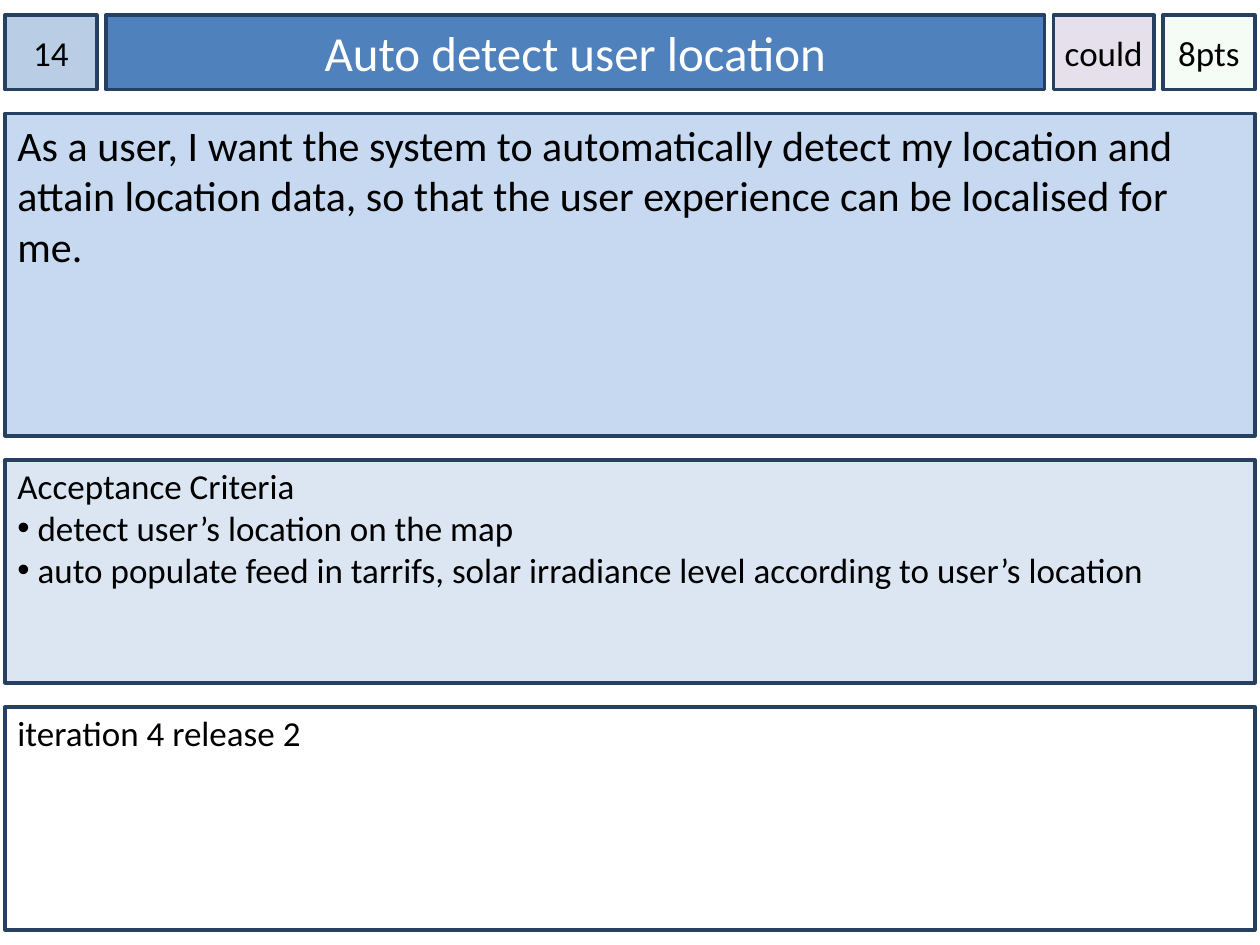
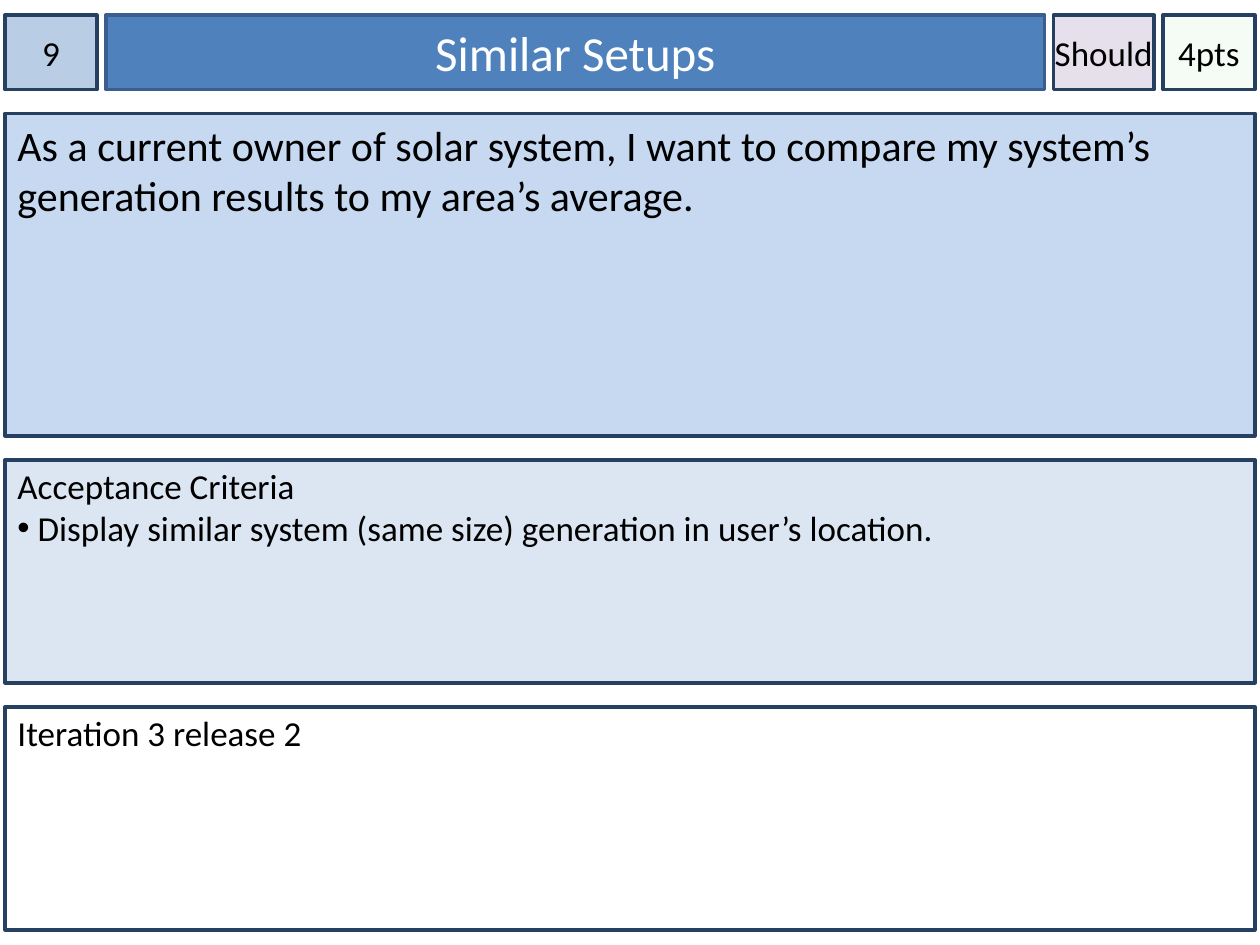
"""Build user story cards, one per slide."""
from dataclasses import dataclass

from lxml import etree
from pptx import Presentation
from pptx.dml.color import RGBColor
from pptx.enum import shapes, text
from pptx.oxml import ns
from pptx.util import Pt

COLOURS = {
    "number": "B9CDE5",
    "title": "4F81BD",
    "priority": "E6E0EC",
    "points": "CCF0CD",
    "story": "C6D9F1",
    "criteria": "DCE6F2",
    "plan": "FFFFFF",
    "border": "254061",
    "soft_border": "3A5F8C",
    "dark_text": "000000",
    "light_text": "FFFFFF",
}
FONT = "Calibri"
MARGIN = 2.88
HEADER_TOP, HEADER_HEIGHT, HEADER_GAP = 8.64, 42.48, 5.04
PANEL_WIDTH, PANEL_GAP = 714.24, 13.68
BULLET_INDENT = 11.5


@dataclass(frozen=True)
class Box:
    """Style of one box; extent is a width in the header, a height below it."""
    name: str
    extent: float
    size: int = 20
    side_inset: float = 7.2
    top_inset: float = 3.6
    wrap: bool = True
    text_colour: str = "dark_text"
    opacity: int = 100


@dataclass(frozen=True)
class Story:
    """Wording of one story card."""
    number: str
    title: str
    priority: str
    points: str
    story: str
    criteria: tuple[str, ...]
    plan: str
    title_border: str = "border"


HEADER = (
    Box("number", 52.56, side_inset=0),
    Box("title", 536.4, size=28, text_colour="light_text"),
    Box("priority", 57.6, side_inset=0, wrap=False),
    Box("points", 52.56, side_inset=0, opacity=20),
)
PANELS = (
    Box("story", 184.32, size=24),
    Box("criteria", 127.44, top_inset=2.88),
    Box("plan", 127.44, top_inset=2.88),
)
STORIES = (
    Story(
        "14", "Auto detect user location", "could", "8pts",
        "As a user, I want the system to automatically detect my location and "
        "attain location data, so that the user experience can be localised for me.",
        ("detect user’s location on the map",
         "auto populate feed in tarrifs, solar irradiance level according to user’s location"),
        "iteration 4 release 2",
    ),
    Story(
        "9", "Similar Setups", "Should", "4pts",
        "As a current owner of solar system, I want to compare my system’s "
        "generation results to my area’s average.",
        ("Display similar system (same size) generation in user’s location.",),
        "Iteration 3 release 2",
        title_border="soft_border",
    ),
)


def colour(name: str) -> RGBColor:
    """Look up a palette colour."""
    return RGBColor.from_string(COLOURS[name])


def add_bullet(paragraph) -> None:
    """Give a paragraph a round bullet with a hanging indent."""
    properties = paragraph._p.get_or_add_pPr()
    properties.set("marL", str(Pt(BULLET_INDENT)))
    properties.set("indent", str(-Pt(BULLET_INDENT)))
    etree.SubElement(properties, ns.qn("a:buFont")).set("typeface", "Arial")
    etree.SubElement(properties, ns.qn("a:buChar")).set("char", "•")


def draw_box(slide, box: Box, left: float, top: float, width: float, height: float,
             lines: tuple[str, ...], centred: bool, border: str = "border") -> None:
    """Draw a bordered box; every line after the first is a bullet."""
    shape = slide.shapes.add_shape(
        shapes.MSO_SHAPE.RECTANGLE, Pt(left), Pt(top), Pt(width), Pt(height))
    shape.shadow.inherit = False
    shape.fill.solid()
    shape.fill.fore_color.rgb = colour(box.name)
    if box.opacity < 100:
        fill = shape._element.spPr.find(f"{ns.qn('a:solidFill')}/{ns.qn('a:srgbClr')}")
        etree.SubElement(fill, ns.qn("a:alpha")).set("val", str(box.opacity * 1000))
    shape.line.color.rgb = colour(border)
    shape.line.width = Pt(2)

    frame = shape.text_frame
    frame.word_wrap = box.wrap
    frame.margin_left = frame.margin_right = Pt(box.side_inset)
    frame.margin_top, frame.margin_bottom = Pt(box.top_inset), Pt(3.6)
    frame.vertical_anchor = text.MSO_ANCHOR.MIDDLE if centred else text.MSO_ANCHOR.TOP
    frame.text = "\n".join(lines)
    for index, paragraph in enumerate(frame.paragraphs):
        paragraph.alignment = text.PP_ALIGN.CENTER if centred else text.PP_ALIGN.LEFT
        if index:
            add_bullet(paragraph)
        for run in paragraph.runs:
            run.font.name = FONT
            run.font.size = Pt(box.size)
            run.font.color.rgb = colour(box.text_colour)


def draw_story(slide, story: Story) -> None:
    """Draw the header row and the stacked panels of one card."""
    wording = {
        "number": (story.number,),
        "title": (story.title,),
        "priority": (story.priority,),
        "points": (story.points,),
        "story": (story.story,),
        "criteria": ("Acceptance Criteria", *story.criteria),
        "plan": (story.plan,),
    }
    left = MARGIN
    for box in HEADER:
        border = story.title_border if box.name == "title" else "border"
        draw_box(slide, box, left, HEADER_TOP, box.extent, HEADER_HEIGHT,
                 wording[box.name], True, border)
        left += box.extent + HEADER_GAP
    top = HEADER_TOP + HEADER_HEIGHT + PANEL_GAP
    for box in PANELS:
        draw_box(slide, box, MARGIN, top, PANEL_WIDTH, box.extent, wording[box.name], False)
        top += box.extent + PANEL_GAP


def main() -> None:
    """Create the presentation and save it."""
    presentation = Presentation()
    presentation.slide_width, presentation.slide_height = Pt(720), Pt(540)
    for story in STORIES:
        draw_story(presentation.slides.add_slide(presentation.slide_layouts[6]), story)
    presentation.save("out.pptx")


if __name__ == "__main__":
    main()
